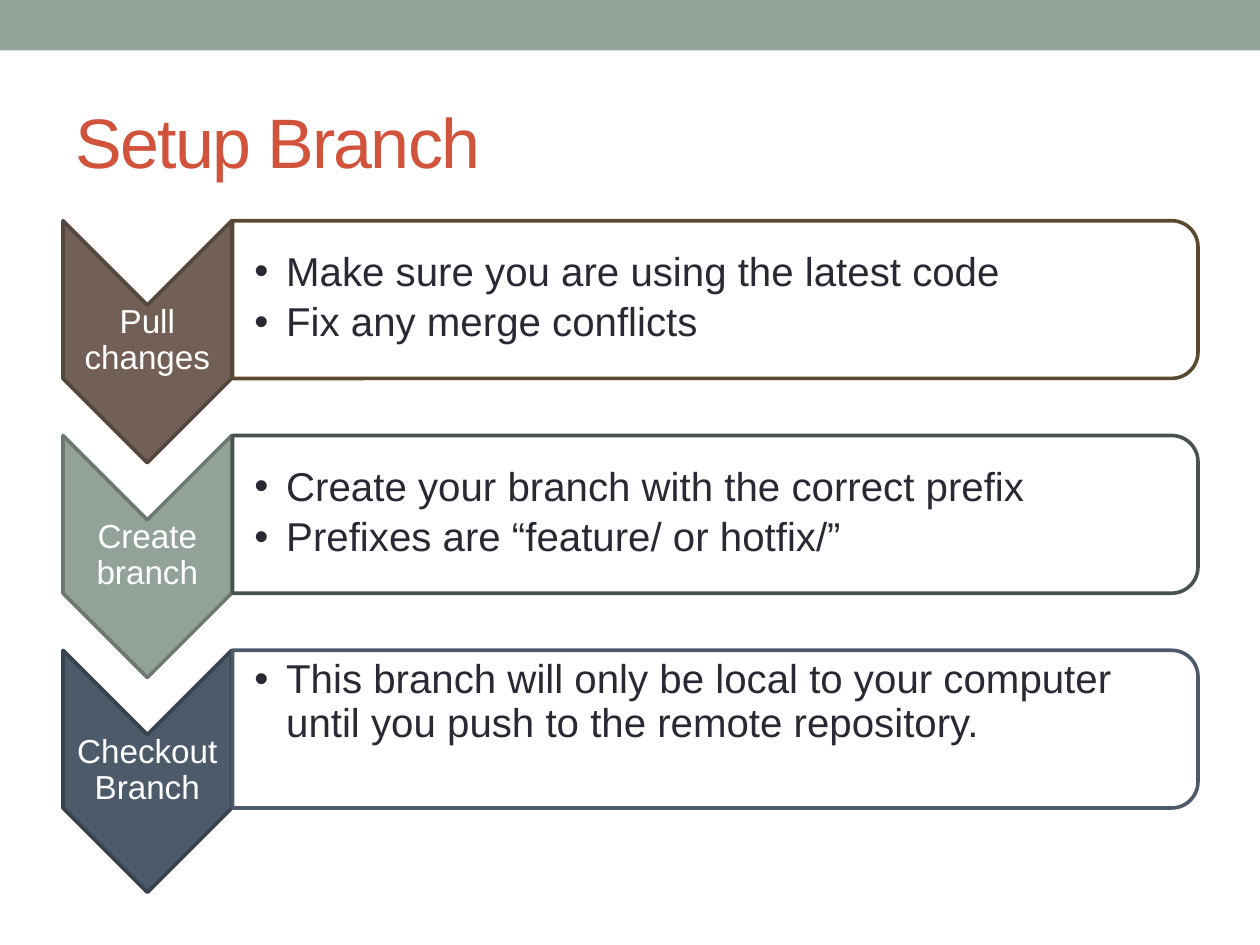
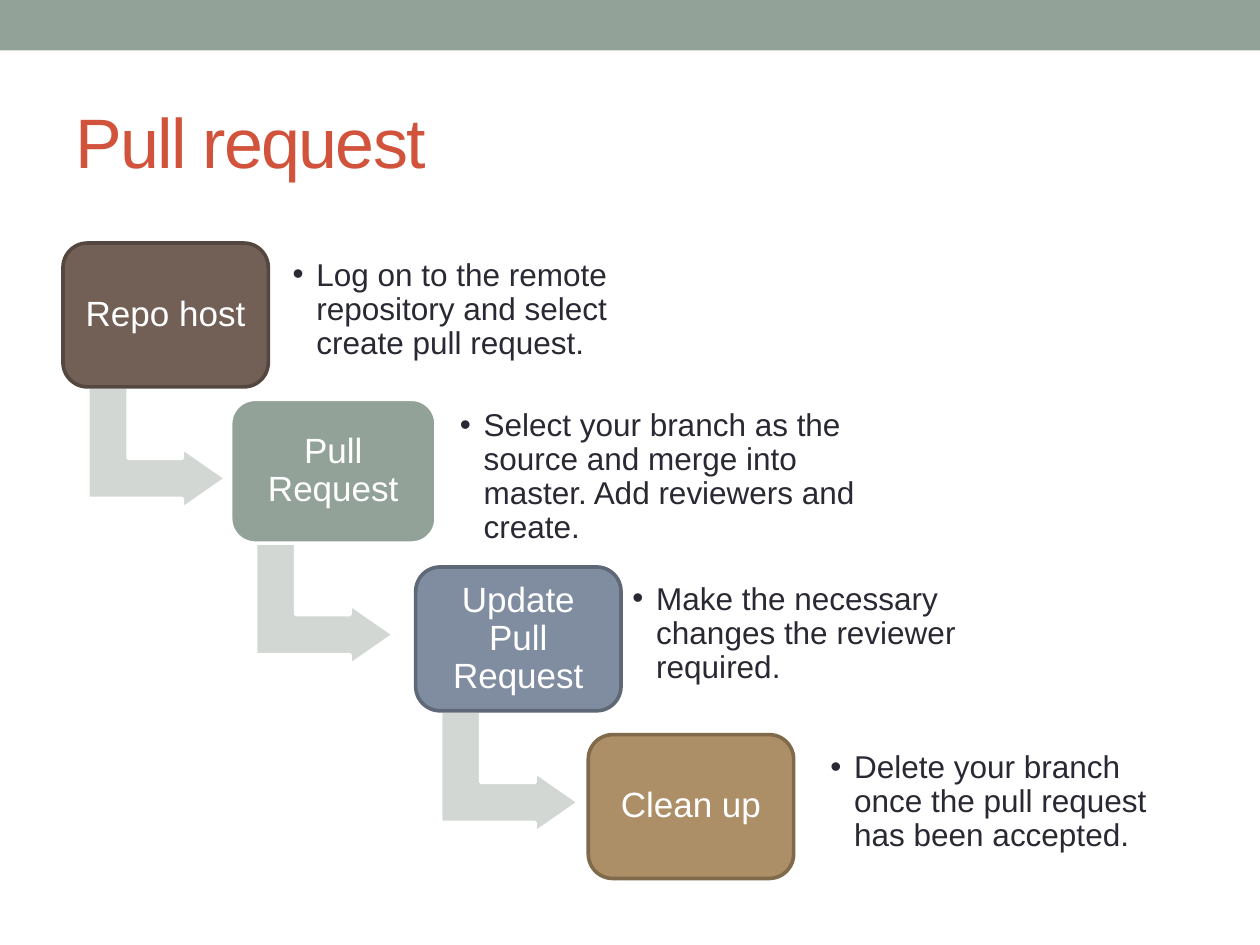
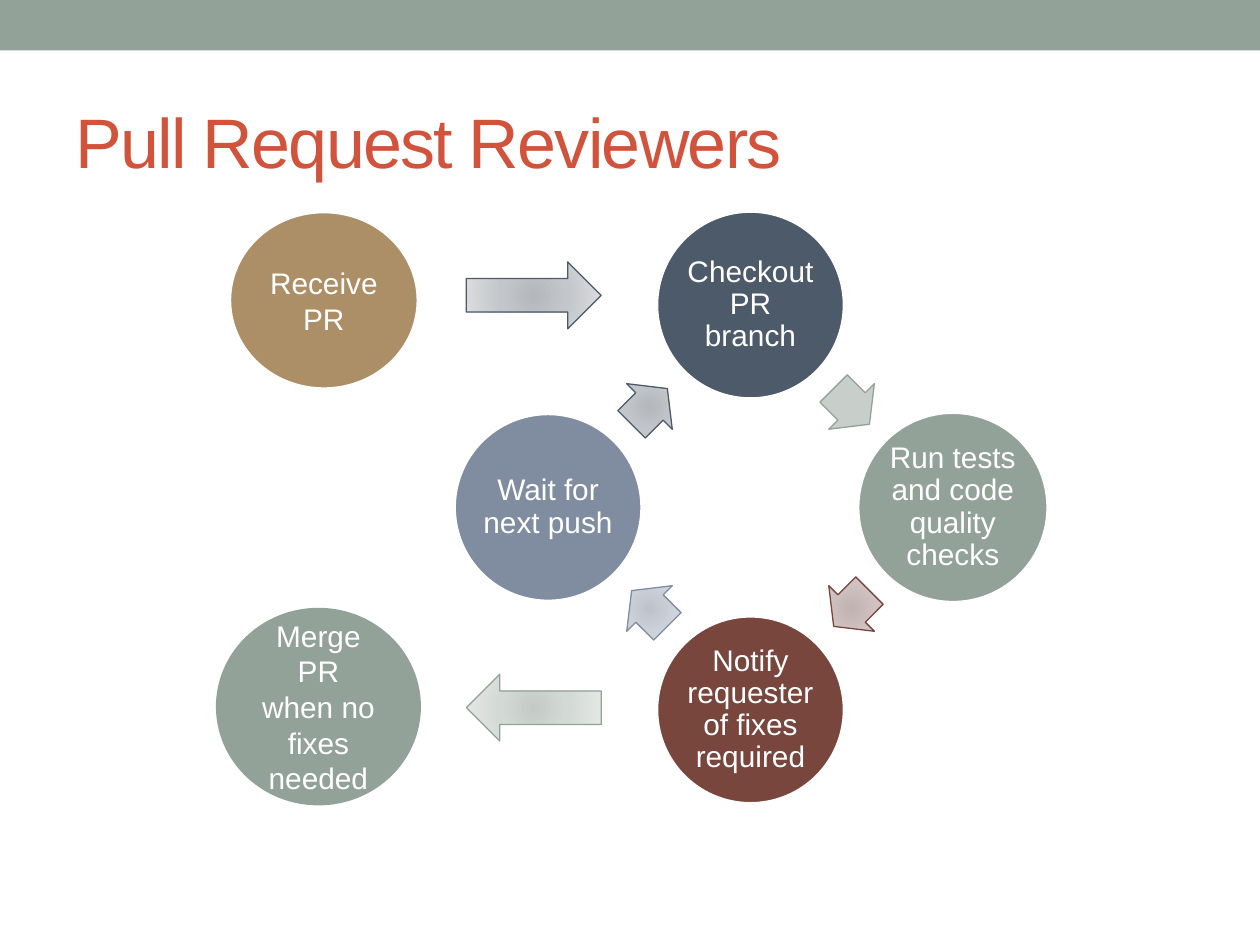
import math
from dataclasses import dataclass
from pptx import Presentation
from pptx import util as u
from pptx.dml.color import RGBColor
from pptx.enum import shapes, text
from pptx.oxml import parse_xml
from pptx.oxml.ns import nsdecls

KIND = shapes.MSO_SHAPE
ALIGN = text.PP_ALIGN


@dataclass(frozen=True)
class Theme:
    font: str = "Arial"
    white: str = "FFFFFF"
    ink: str = "292934"
    red: str = "D2533C"
    sage: str = "93A299"
    brown: str = "726056"
    slate: str = "4C5A6A"
    blue: str = "808DA0"
    tan: str = "AD8F67"
    rust: str = "79463D"
    elbow: str = "D2D7D4"
    pale: str = "C8CECA"
    brown_edge: str = "544740"
    sage_edge: str = "6D7871"
    slate_edge: str = "38434E"
    blue_edge: str = "5F6876"
    tan_edge: str = "806A4C"
    brown_rim: str = "5A4830"
    sage_rim: str = "47534C"
    rust_glow: tuple = ("C0B3B1", "D0C2C0", "E5DEDD")
    blue_glow: tuple = ("BEC3CB", "CDD2DB", "E3E6EB")
    slate_glow: tuple = ("B4B7BC", "C3C7CB", "DFE0E3")
    sage_glow: tuple = ("C4CAC6", "D3DAD6", "E7EAE8")
    title: int = 40
    list: int = 23
    step: int = 20
    label: int = 19
    note: int = 18
    node: int = 17
    thin: float = 0.75
    edge: float = 2.08
    thick: float = 3.5


T = Theme()


def write(frame, words, size, color=T.white, align=ALIGN.CENTER, lead=0.9,
          inset=None, track=None, hang=None):
    """Fill a frame, one paragraph a line; hang is the bullet indent in cm."""
    frame.word_wrap = True
    frame.auto_size = text.MSO_AUTO_SIZE.NONE
    frame.vertical_anchor = text.MSO_ANCHOR.MIDDLE
    if inset:
        sides = ("left", "top", "right", "bottom")
        for side, gap in zip(sides, inset):
            setattr(frame, "margin_" + side, u.Cm(gap))
    for i, line in enumerate(words.split("\n")):
        para = frame.add_paragraph() if i else frame.paragraphs[0]
        para.alignment = align
        para.line_spacing = lead
        run = para.add_run()
        run.text = line
        run.font.name = T.font
        run.font.size = u.Pt(size)
        run.font.color.rgb = RGBColor.from_string(color)
        if track:
            run.font._element.set("spc", str(track))
        if hang:
            para.space_after = u.Pt(round(size * 0.17))
            props = para._p.get_or_add_pPr()
            props.set("marL", str(u.Cm(hang)))
            props.set("indent", str(-u.Cm(hang)))
            for tag in ('buFont %s typeface="Arial"', 'buChar %s char="•"'):
                props.append(parse_xml(f"<a:{tag % nsdecls('a')}/>"))


def glow(shape, colors):
    """Replace the solid fill by a round gradient."""
    stops = "".join(
        f'<a:gs pos="{pos}000"><a:srgbClr val="{color}"/></a:gs>'
        for pos, color in zip((0, 45, 100), colors))
    sides = " ".join(f'{side}="100000"' for side in "ltrb")
    grad = parse_xml(
        f'<a:gradFill {nsdecls("a")}><a:gsLst>{stops}</a:gsLst>'
        f'<a:path path="circle"><a:fillToRect {sides}/></a:path></a:gradFill>')
    props = shape.element.spPr
    solid = props.find("{*}solidFill")
    props.replace(solid, grad)


class Deck:
    def __init__(self):
        self.file = Presentation()
        self.file.slide_width, self.file.slide_height = u.Cm(25.4), u.Cm(19.05)
        self.layout = self.file.slide_layouts[5]
        self.slide = None

    def start(self, title):
        first = self.slide is None
        self.slide = self.file.slides.add_slide(self.layout)
        if first:
            self.band()
        head = self.slide.shapes.title
        head.left, head.top, head.width, head.height = map(
            u.Cm, (1.27, 1.47, 22.86, 2.74))
        write(head.text_frame, title, T.title, T.red, ALIGN.LEFT,
              lead=1, track=-100)

    def band(self):
        """Draw the top band and hand it to the shared layout."""
        band = self.shape(KIND.RECTANGLE, (0, 0, 25.4, 1.02), T.sage)
        self.layout.shapes.element.insert(2, band.element)

    def shape(self, kind, box, fill, line=None, weight=T.edge, turn=0,
              tune=()):
        """Draw a preset; box is as seen, even after a quarter turn."""
        x, y, w, h = box
        if turn % 180 == 90:
            x, y, w, h = x + (w - h) / 2, y + (h - w) / 2, h, w
        new = self.slide.shapes.add_shape(kind, *map(u.Cm, (x, y, w, h)))
        new.shadow.inherit = False
        new.rotation = turn
        for i, value in enumerate(tune):
            new.adjustments[i] = value
        new.fill.solid()
        plain = isinstance(fill, str)
        new.fill.fore_color.rgb = RGBColor.from_string(
            fill if plain else fill[0])
        if not plain:
            glow(new, fill)
        if line:
            new.line.color.rgb = RGBColor.from_string(line)
            new.line.width = u.Pt(weight)
        else:
            new.line.fill.background()
        return new

    def label(self, box, words, size, **style):
        new = self.slide.shapes.add_textbox(*map(u.Cm, box))
        write(new.text_frame, words, size, **style)

    def list(self, box, words, size, hang, inset):
        self.label(box, words, size, color=T.ink, align=ALIGN.LEFT,
                   hang=hang, inset=inset)

    def node(self, box, words, fill, line=T.white, weight=T.thick, **style):
        new = self.shape(KIND.OVAL, box, fill, line, weight)
        write(new.text_frame, words, T.node, **style)

    def arrow(self, box, fill, line, turn=0, tune=()):
        self.shape(KIND.RIGHT_ARROW, box, fill, line, T.thin, turn, tune)


def setup(deck):
    deck.start("Setup Branch")
    rows = (
        ("Pull changes", T.brown, T.brown_edge, T.brown_rim, 0.05,
         "Make sure you are using the latest code\nFix any merge conflicts"),
        ("Create branch", T.sage, T.sage_edge, T.sage_rim, 0.05,
         "Create your branch with the correct prefix\n"
         "Prefixes are “feature/ or hotfix/”"),
        ("Checkout Branch", T.slate, T.slate_edge, T.slate, 1.08,
         "This branch will only be local to your computer until you push "
         "to the remote repository."),
    )
    for i, (name, fill, edge, rim, foot, words) in enumerate(rows):
        top = 4.45 + 4.33 * i
        deck.shape(KIND.CHEVRON, (1.27, top, 3.4, 4.88), fill, edge, turn=90)
        deck.label((1.27, top + 1.7, 3.4, 1.45), name, T.label,
                   inset=(0.03,) * 4)
        deck.shape(KIND.ROUND_2_SAME_RECTANGLE, (4.69, top, 19.46, 3.18),
                   T.white, rim, turn=90)
        deck.list((4.67, top + 0.15, 19.3, 2.84), words, T.list, 0.64,
                  (0.46, 0.05, 0.05, foot))


def request(deck):
    deck.start("Pull request")
    steps = (
        ("Repo host", T.brown, T.brown_edge, 1.27, 4.9, (5.72, 5.08, 7.8),
         "Log on to the remote repository and select create pull request."),
        ("Pull Request", T.sage, T.white, 4.65, 8.05, (9.09, 8.46, 8.69),
         "Select your branch as the source and merge into master. "
         "Add reviewers and create."),
        ("Update Pull Request", T.blue, T.blue_edge, 8.38, 11.43,
         (12.57, 11.61, 7.85),
         "Make the necessary changes the reviewer required."),
        ("Clean up", T.tan, T.tan_edge, 11.86, 14.81, (16.56, 15.01, 7.01),
         "Delete your branch once the pull request has been accepted."),
    )
    for i, (name, fill, edge, x, y, place, words) in enumerate(steps):
        if i < len(steps) - 1:
            deck.shape(KIND.BENT_UP_ARROW, (x + 0.5, y + 2.9, 2.79, 2.46),
                       T.elbow, T.white, turn=90, tune=(0.33, 0.25, 0.36))
        card = deck.shape(KIND.ROUNDED_RECTANGLE, (x, y, 4.14, 2.9),
                          fill, edge, tune=(0.17,))
        write(card.text_frame, name, T.step, inset=(0.2,) * 4)
        deck.list((*place, 2.34), words, T.note, 0.48, (0.18,) * 4)


def review(deck):
    deck.start("Pull Request Reviewers")
    mid_x, mid_y, size = 15.13, 10.23, 3.84
    ring = (
        ("Checkout PR branch", T.slate, T.thick, T.pale, T.sage),
        ("Run tests and code quality checks", T.sage, T.edge,
         T.rust_glow, T.rust),
        ("Notify requester of fixes required", T.rust, T.thick,
         T.blue_glow, T.blue),
        ("Wait for next push", T.blue, T.thick, T.slate_glow, T.slate),
    )

    def spot(angle, reach, w, h):
        """Box centred on the ring, clockwise from the top."""
        turn = math.radians(angle)
        return (mid_x + reach * math.sin(turn) - w / 2,
                mid_y - reach * math.cos(turn) - h / 2, w, h)

    for i, (name, fill, weight, tint, edge) in enumerate(ring):
        angle = 90 * i
        deck.node(spot(angle, 4.08, size, size), name, fill, weight=weight,
                  inset=(0.05,) * 4)
        deck.arrow(spot(angle + 45, 2.88, 1.02, 1.3), tint, edge,
                   angle + 45, (0.6, 0.5))
    deck.node((4.6, 4.24, 3.86, 3.63), "Receive PR", T.tan, lead=1)
    deck.arrow((9.4, 5.28, 2.72, 1.35), T.slate_glow, T.slate)
    deck.node((4.39, 12.29, 4.06, 3.91), "Merge PR when no fixes\nneeded",
              T.sage, T.sage, T.edge, lead=1)
    deck.arrow((9.4, 13.59, 2.72, 1.35), T.sage_glow, T.sage, 180)


def main():
    deck = Deck()
    for build in (setup, request, review):
        build(deck)
    deck.file.save("out.pptx")


if __name__ == "__main__":
    main()
